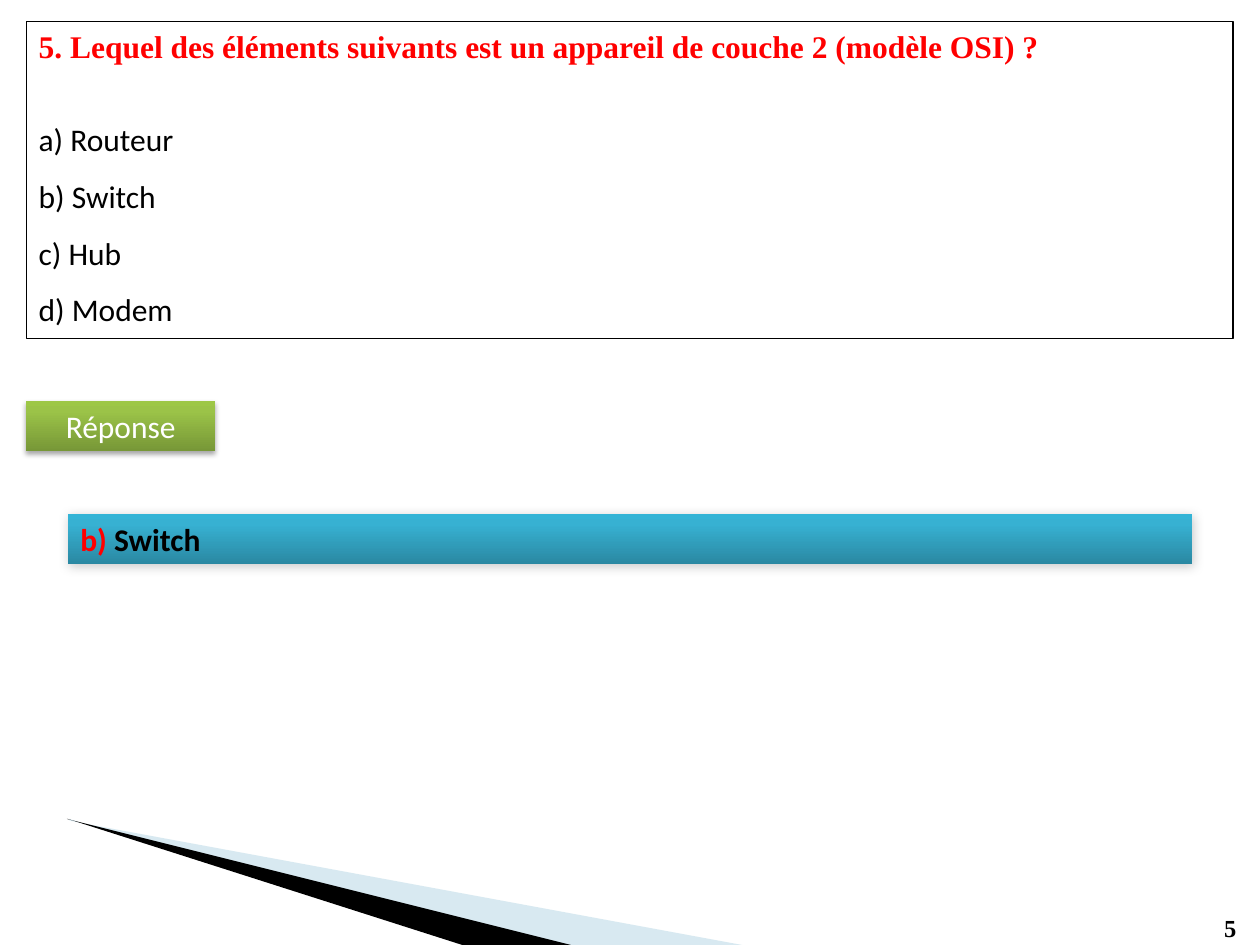
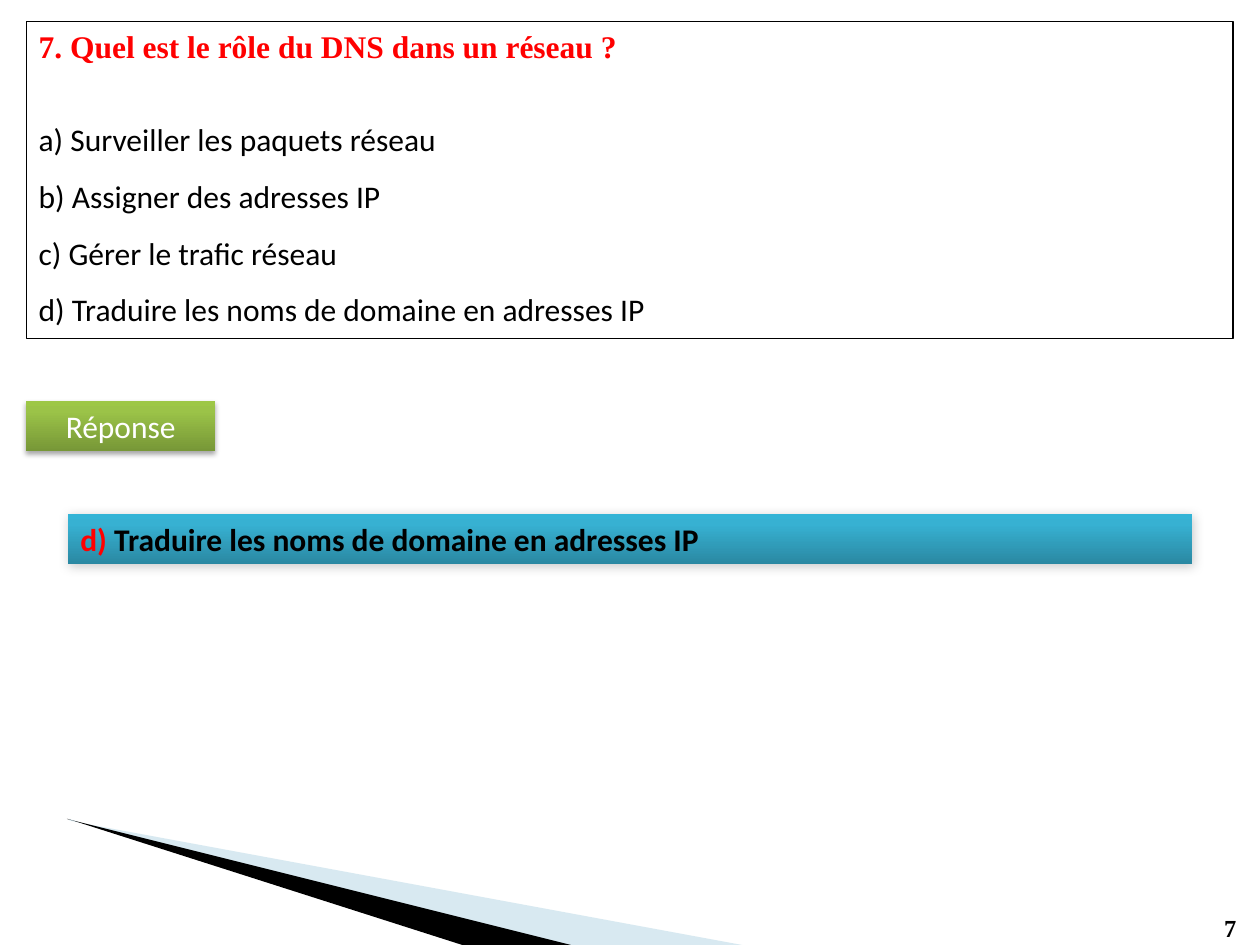
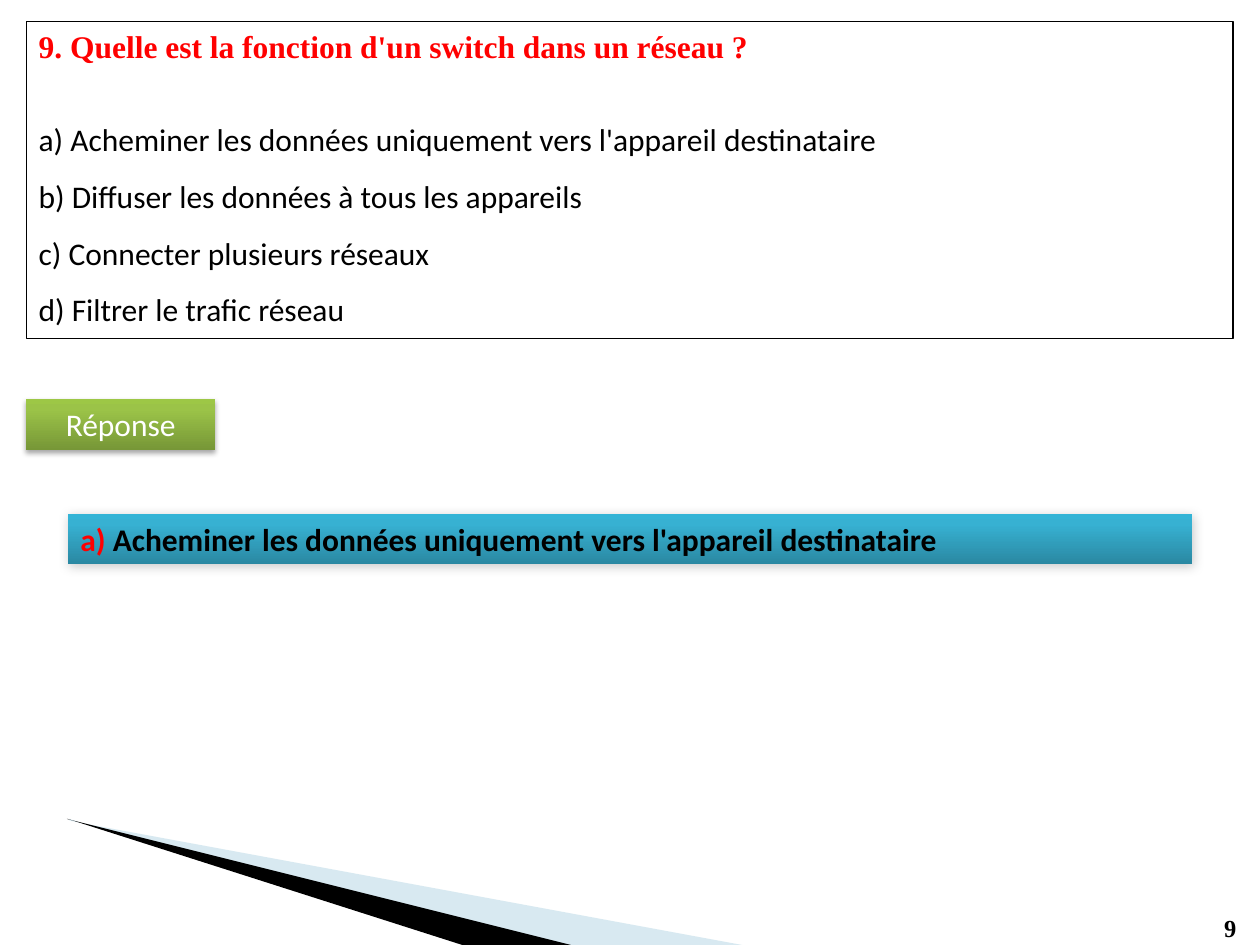
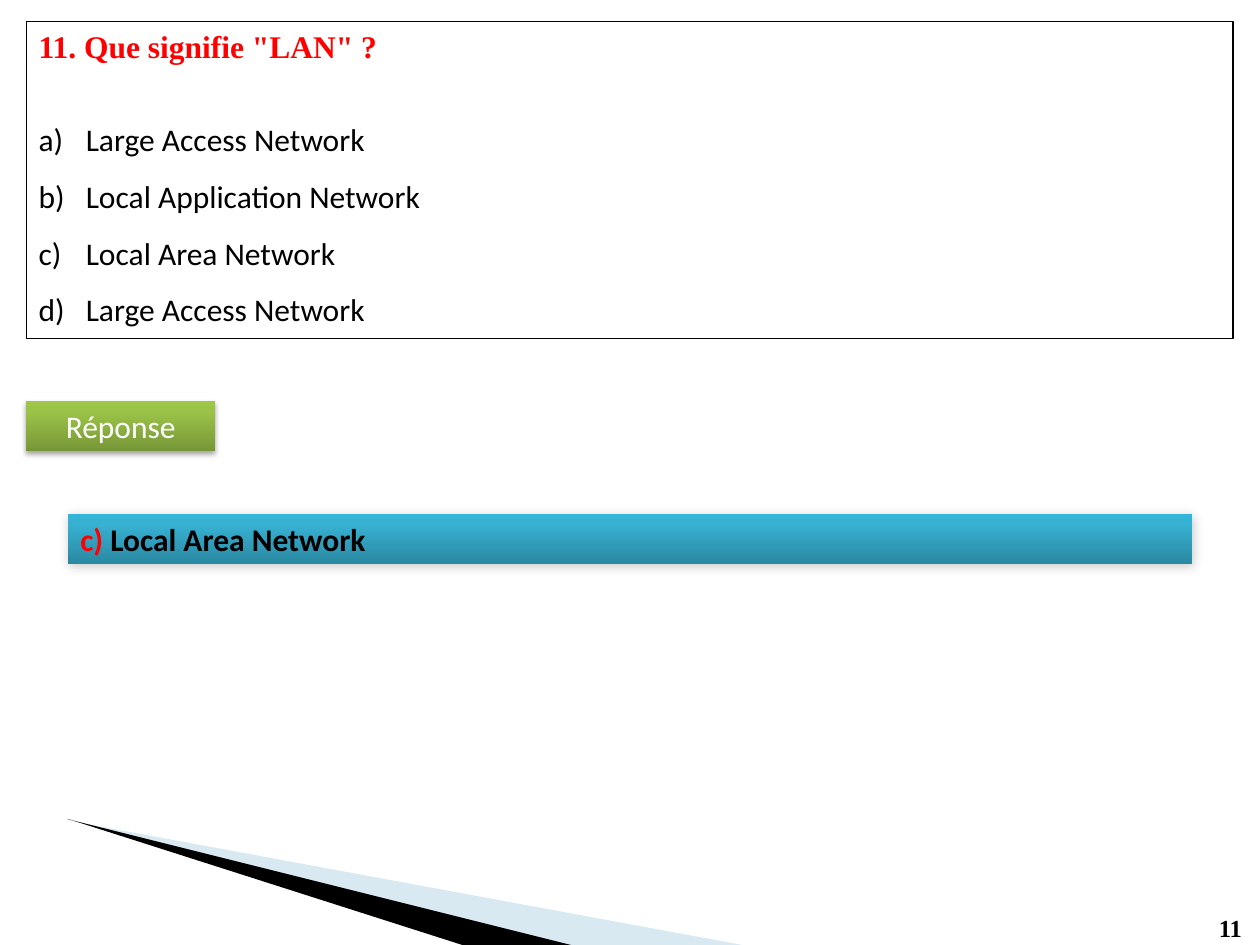
"""Build four network quiz slides, each with a question and its answer."""
from dataclasses import dataclass

from lxml import etree
from pptx import Presentation
from pptx.dml.color import RGBColor
from pptx.enum.shapes import MSO_SHAPE
from pptx.enum.text import MSO_ANCHOR, MSO_AUTO_SIZE, PP_ALIGN
from pptx.oxml import parse_xml
from pptx.oxml.ns import qn
from pptx.util import Cm, Pt

RECT = MSO_SHAPE.RECTANGLE
TOP = MSO_ANCHOR.TOP
GROW = MSO_AUTO_SIZE.SHAPE_TO_FIT_TEXT
LEFT, CENTER, JUST = PP_ALIGN.LEFT, PP_ALIGN.CENTER, PP_ALIGN.JUSTIFY

WIDE, HIGH = 25.4, 19.05
SANS, SERIF = "Calibri", "Times New Roman"
HUES = {"black": "000000", "white": "FFFFFF", "red": "FF0000", "pale": "9FCADC"}
SPACE = 'xmlns:a="http://schemas.openxmlformats.org/drawingml/2006/main"'


@dataclass
class Box:
    left: float
    top: float
    wide: float
    high: float


@dataclass
class Glow:
    stops: tuple[str, str, str]
    alpha: int
    blur: float
    dist: float
    angle: int


@dataclass
class Quiz:
    num: int
    ask: str
    opts: tuple[str, ...]
    key: str
    tag_top: float = 8.08
    listed: bool = False


ASK = Box(0.53, 0.43, 24.33, 6.4)
GREEN = Glow(("779737", "9BC348", "9DC746"), 35, 3.1, 1.8, 90)
BLUE = Glow(("2A88A2", "37B1D2", "34B4D6"), 20, 6, 1, 45)

PALE = [
    [(1.63, 16.59), (11.46, 19.05), (14.96, 19.05)],
    [(1.4, 16.51), (1.4, 16.54), (1.63, 16.59)],
]
DARK = [[(1.35, 16.51), (1.37, 16.51), (9.32, 19.05), (11.51, 19.05)]]

QUIZ = [
    Quiz(5, "Lequel des éléments suivants est un appareil de couche 2 (modèle OSI) ?",
         ("Routeur", "Switch", "Hub", "Modem"), "b"),
    Quiz(7, "Quel est le rôle du DNS dans un réseau ?",
         ("Surveiller les paquets réseau", "Assigner des adresses IP",
          "Gérer le trafic réseau", "Traduire les noms de domaine en adresses IP"), "d"),
    Quiz(9, "Quelle est la fonction d'un switch dans un réseau ?",
         ("Acheminer les données uniquement vers l'appareil destinataire",
          "Diffuser les données à tous les appareils",
          "Connecter plusieurs réseaux", "Filtrer le trafic réseau"), "a", tag_top=8.05),
    Quiz(11, 'Que signifie "LAN" ?',
         ("Large Access Network", "Local Application Network",
          "Local Area Network", "Large Access Network"), "c", listed=True),
]


def hue(name: str) -> RGBColor:
    return RGBColor.from_string(HUES[name])


def style(para, size: int, face: str, tint: str, bold: bool = False, align=LEFT) -> None:
    para.alignment = align
    font = para.font
    font.size, font.name, font.bold = Pt(size), face, bold
    font.color.rgb = hue(tint)


def wedge(slide, layout, rings: list, tint: str, alpha: int = 100) -> None:
    pen = None
    for ring in rings:
        start, *rest = [(Cm(x), Cm(y)) for x, y in ring]
        if pen is None:
            pen = slide.shapes.build_freeform(*start)
        else:
            pen.move_to(*start)
        pen.add_line_segments(rest, close=True)
    form = pen.convert_to_shape()
    form.shadow.inherit = False
    form.line.fill.background()
    form.fill.solid()
    form.fill.fore_color.rgb = hue(tint)
    if alpha < 100:
        tone = form.element.spPr.find(".//" + qn("a:srgbClr"))
        etree.SubElement(tone, qn("a:alpha"), val=str(alpha * 1000))
    layout.shapes.element.append(form.element)


def panel(slide, box: Box):
    shape = slide.shapes.add_shape(RECT, Cm(box.left), Cm(box.top), Cm(box.wide), Cm(box.high))
    shape.shadow.inherit = False
    frame = shape.text_frame
    frame.word_wrap, frame.auto_size, frame.vertical_anchor = True, GROW, TOP
    return shape


def bar(slide, box: Box, glow: Glow):
    shape = panel(slide, box)
    shape.line.fill.background()
    props = shape.element.spPr
    stops = "".join(f'<a:gs pos="{pos}000"><a:srgbClr val="{tone}"/></a:gs>'
                    for pos, tone in zip((0, 80, 100), glow.stops))
    props.find(qn("a:ln")).addprevious(parse_xml(
        f'<a:gradFill {SPACE} rotWithShape="1"><a:gsLst>{stops}</a:gsLst>'
        '<a:lin ang="16200000" scaled="0"/></a:gradFill>'))
    props.find(qn("a:effectLst")).append(parse_xml(
        f'<a:outerShdw {SPACE} blurRad="{Pt(glow.blur)}" dist="{Pt(glow.dist)}" '
        f'dir="{glow.angle * 60000}" algn="ctr" rotWithShape="0">'
        f'<a:srgbClr val="{HUES["black"]}"><a:alpha val="{glow.alpha * 1000}"/></a:srgbClr>'
        '</a:outerShdw>'))
    return shape.text_frame.paragraphs[0]


def question(slide, quiz: Quiz) -> None:
    shape = panel(slide, ASK)
    shape.fill.background()
    shape.line.color.rgb = hue("black")
    shape.line.width = Pt(0.75)
    frame = shape.text_frame
    head = frame.paragraphs[0]
    head.text = f"{quiz.num}. {quiz.ask}"
    head.space_after = Pt(20.7)
    style(head, 18, SERIF, "red", True)
    for mark, opt in zip("abcd", quiz.opts):
        para = frame.add_paragraph()
        para.text = opt if quiz.listed else f"{mark}) {opt}"
        if quiz.listed:
            props = para._p.get_or_add_pPr()
            props.set("marL", str(Cm(0.95)))
            props.set("indent", str(-Cm(0.95)))
            etree.SubElement(props, qn("a:buAutoNum"), type="alphaLcParenR")
        para.line_spacing = 1.5
        style(para, 18, SANS, "black")


def answer(slide, quiz: Quiz) -> None:
    tag = bar(slide, Box(0.53, quiz.tag_top, 3.81, 1.02), GREEN)
    tag.text = "Réponse"
    style(tag, 18, SANS, "white", align=CENTER)
    para = bar(slide, Box(1.37, 10.36, 22.66, 1.02), BLUE)
    style(para, 18, SANS, "black", True, JUST)
    right = quiz.opts["abcd".index(quiz.key)]
    for text, tint in ((f"{quiz.key}) ", "red"), (right, "black")):
        run = para.add_run()
        run.text = text
        run.font.color.rgb = hue(tint)


def number(slide, num: int) -> None:
    wide = 0.8 + 0.11 * len(str(num))
    note = slide.shapes.add_textbox(Cm(25.34 - wide), Cm(18.29), Cm(wide), Cm(0.86))
    frame = note.text_frame
    frame.word_wrap, frame.auto_size = False, GROW
    para = frame.paragraphs[0]
    para.text = str(num)
    style(para, 14, SERIF, "black", True)


def main() -> None:
    deck = Presentation()
    deck.slide_width, deck.slide_height = Cm(WIDE), Cm(HIGH)
    blank = deck.slide_layouts[6]
    for hold in list(blank.placeholders):
        blank.shapes.element.remove(hold.element)
    for spot, quiz in enumerate(QUIZ):
        slide = deck.slides.add_slide(blank)
        if spot == 0:
            wedge(slide, blank, PALE, "pale", 40)
            wedge(slide, blank, DARK, "black")
        number(slide, quiz.num)
        question(slide, quiz)
        answer(slide, quiz)
    deck.save("out.pptx")


if __name__ == "__main__":
    main()
